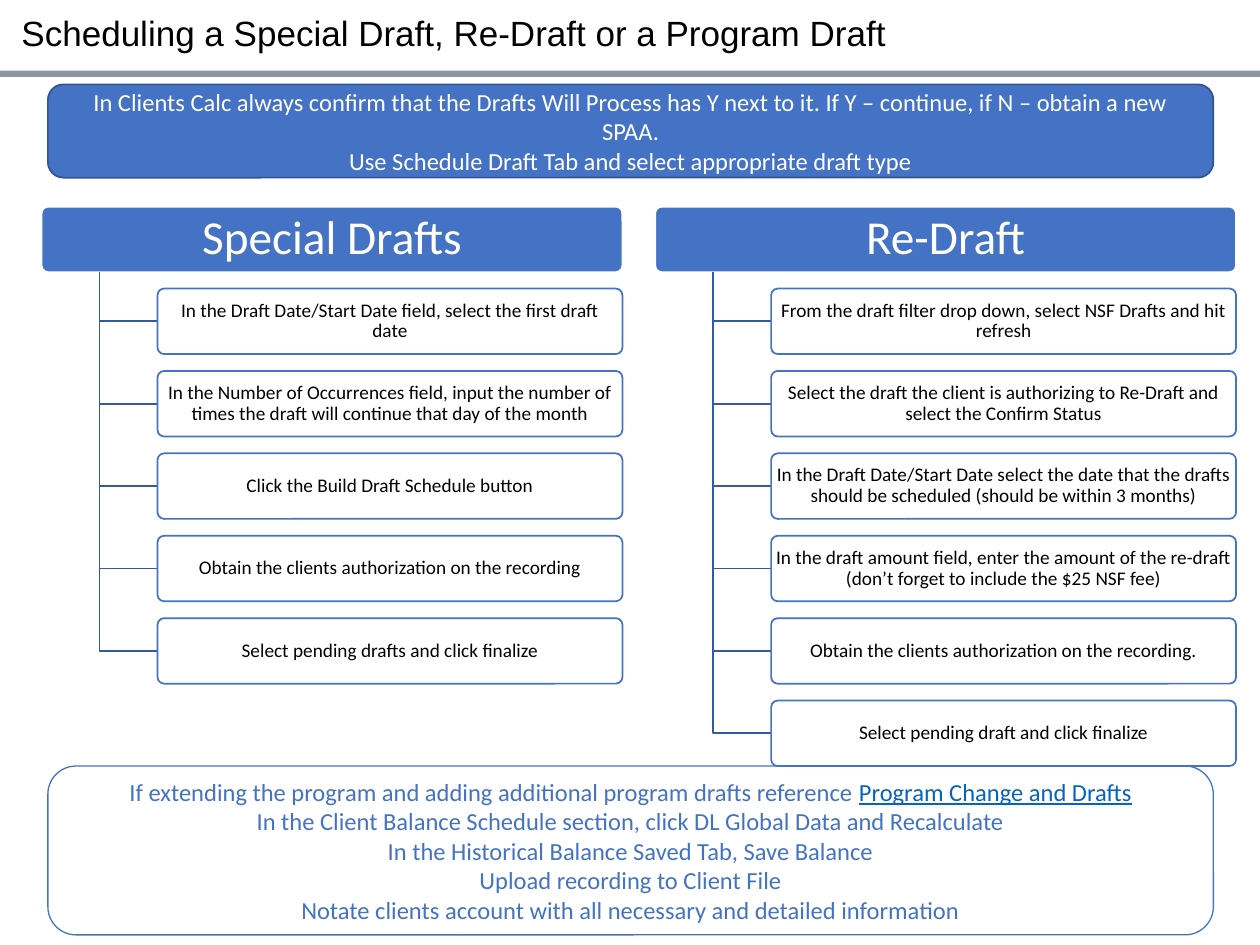
from dataclasses import dataclass

from pptx import Presentation
from pptx.dml.color import RGBColor
from pptx.enum.shapes import MSO_SHAPE
from pptx.enum.text import MSO_ANCHOR, MSO_AUTO_SIZE, PP_ALIGN
from pptx.util import Inches, Pt

COLORS = {
    "black": "000000",
    "white": "FFFFFF",
    "blue": "4472C4",
    "dark_blue": "325491",
    "branch": "365B9D",
    "link": "0563C1",
    "rule": "8C93A2",
}

HEADER_TOP, HEADER_WIDTH = 1.64, 4.61
BOX_HEIGHT, STEP_WIDTH = 0.52, 3.69
FIRST_STEP_TOP, STEP_PITCH = 2.29, 0.654
TRUNK_OFFSET, STEP_OFFSET = 0.46, 0.92


@dataclass
class Run:
    text: str
    size: float
    color: str
    font: str = "Calibri"
    underline: bool = False


@dataclass
class Box:
    left: float
    top: float
    width: float
    height: float
    fill: str | None = None
    line: str | None = None
    line_width: float = 1
    shape_type: MSO_SHAPE = MSO_SHAPE.ROUNDED_RECTANGLE
    corner: float | None = None


@dataclass
class Procedure:
    left: float
    heading: str
    steps: list[str]


PROCEDURES = [
    Procedure(0.33, "Special Drafts", [
        "In the Draft Date/Start Date field, select the first draft date",
        "In the Number of Occurrences field, input the number of times the draft will "
        "continue that day of the month",
        "Click the Build Draft Schedule button",
        "Obtain the clients authorization on the recording",
        "Select pending drafts and click finalize",
    ]),
    Procedure(5.2, "Re-Draft", [
        "From the draft filter drop down, select NSF Drafts and hit refresh",
        "Select the draft the client is authorizing to Re-Draft and select the Confirm Status",
        "In the Draft Date/Start Date select the date that the drafts should be scheduled "
        "(should be within 3 months)",
        "In the draft amount field, enter the amount of the re-draft "
        "(don’t forget to include the $25 NSF fee)",
        "Obtain the clients authorization on the recording.",
        "Select pending draft and click finalize",
    ]),
]

BANNER_LINES = [
    "In Clients Calc always confirm that the Drafts Will Process has Y next to it. "
    "If Y – continue, if N – obtain a new SPAA.",
    "Use Schedule Draft Tab and select appropriate draft type",
]

CLOSING_LINES = [
    "In the Client Balance Schedule section, click DL Global Data and Recalculate",
    "In the Historical Balance Saved Tab, Save Balance",
    "Upload recording to Client File",
    "Notate clients account with all necessary and detailed information",
]


def rgb(name: str) -> RGBColor:
    return RGBColor.from_string(COLORS[name])


def write(shape, lines: list[list[Run]], align=PP_ALIGN.CENTER,
          spacing: float | None = None, insets: tuple[float, float] = (0.1, 0.05)) -> None:
    """Fill the shape with one paragraph per list of runs."""
    frame = shape.text_frame
    frame.word_wrap = True
    frame.auto_size = MSO_AUTO_SIZE.NONE
    frame.vertical_anchor = MSO_ANCHOR.MIDDLE
    frame.margin_left = frame.margin_right = Inches(insets[0])
    frame.margin_top = frame.margin_bottom = Inches(insets[1])
    for index, runs in enumerate(lines):
        paragraph = frame.add_paragraph() if index else frame.paragraphs[0]
        paragraph.alignment = align
        paragraph.line_spacing = spacing
        for item in runs:
            run = paragraph.add_run()
            run.text = item.text
            run.font.name = item.font
            run.font.size = Pt(item.size)
            run.font.color.rgb = rgb(item.color)
            if item.underline:
                run.font.underline = True


def add_box(slide, box: Box):
    shape = slide.shapes.add_shape(box.shape_type, Inches(box.left), Inches(box.top),
                                   Inches(box.width), Inches(box.height))
    shape.shadow.inherit = False
    if box.corner is not None:
        shape.adjustments[0] = box.corner
    if box.fill:
        shape.fill.solid()
        shape.fill.fore_color.rgb = rgb(box.fill)
    else:
        shape.fill.background()
    if box.line:
        shape.line.color.rgb = rgb(box.line)
        shape.line.width = Pt(box.line_width)
    else:
        shape.line.fill.background()
    return shape


def add_branch(slide, left: float, top: float, right: float, bottom: float) -> None:
    """Draw an elbow that runs down and then right."""
    builder = slide.shapes.build_freeform(Inches(left), Inches(top))
    builder.add_line_segments([(Inches(left), Inches(bottom)),
                               (Inches(right), Inches(bottom))], close=False)
    branch = builder.convert_to_shape()
    branch.shadow.inherit = False
    branch.fill.background()
    branch.line.color.rgb = rgb("branch")
    branch.line.width = Pt(1)


def add_procedure(slide, procedure: Procedure) -> None:
    header = add_box(slide, Box(procedure.left, HEADER_TOP, HEADER_WIDTH, BOX_HEIGHT,
                                "blue", "white", corner=0.1))
    write(header, [[Run(procedure.heading, 27, "white")]], spacing=0.9, insets=(0.06, 0.04))
    step_left = procedure.left + STEP_OFFSET
    for index, text in enumerate(procedure.steps):
        top = FIRST_STEP_TOP + index * STEP_PITCH
        add_branch(slide, procedure.left + TRUNK_OFFSET, HEADER_TOP + BOX_HEIGHT,
                   step_left, top + BOX_HEIGHT / 2)
        step = add_box(slide, Box(step_left, top, STEP_WIDTH, BOX_HEIGHT,
                                  "white", "blue", corner=0.1))
        write(step, [[Run(text, 11, "black")]], spacing=0.9, insets=(0.02, 0.02))


def main() -> None:
    presentation = Presentation()
    presentation.slide_width = Inches(10)
    presentation.slide_height = Inches(7.5)
    slide = presentation.slides.add_slide(presentation.slide_layouts[5])

    title = slide.shapes.title
    title.left, title.top = Inches(0.07), Inches(0.04)
    title.width, title.height = Inches(9.68), Inches(0.47)
    write(title, [[Run("Scheduling a Special Draft, Re-Draft or a Program Draft",
                       20, "black", "Arial")]], PP_ALIGN.LEFT, 0.9)
    add_box(slide, Box(0, 0.56, 10, 0.05, "rule", shape_type=MSO_SHAPE.RECTANGLE))

    banner = add_box(slide, Box(0.38, 0.67, 9.25, 0.74, "blue", "dark_blue"))
    write(banner, [[Run(text, 14, "white")] for text in BANNER_LINES])

    for procedure in PROCEDURES:
        add_procedure(slide, procedure)

    closing = add_box(slide, Box(0.38, 6.08, 9.25, 1.34, line="blue", line_width=0.75))
    reference = [
        Run("If extending the program and adding additional program drafts reference ", 14, "blue"),
        Run("Program Change and Drafts", 14, "link", underline=True),
    ]
    write(closing, [reference] + [[Run(text, 14, "blue")] for text in CLOSING_LINES])

    presentation.save("out.pptx")


if __name__ == "__main__":
    main()
